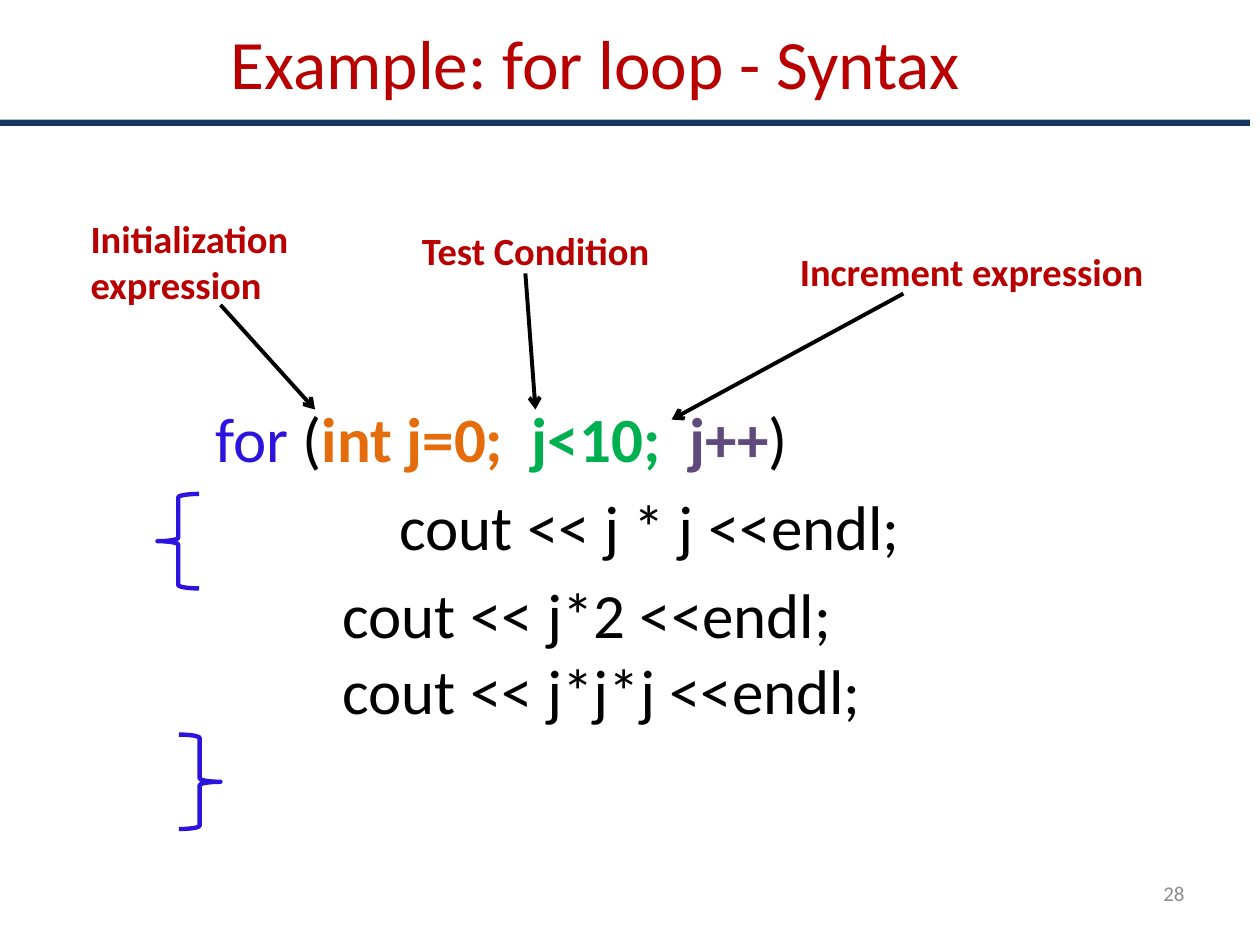
from lxml.etree import SubElement
from pptx import Presentation
from pptx.dml.color import RGBColor
from pptx.enum.shapes import MSO_CONNECTOR, MSO_SHAPE
from pptx.enum.text import MSO_ANCHOR, MSO_AUTO_SIZE, PP_ALIGN
from pptx.oxml.ns import qn
from pptx.util import Inches, Pt

# Content
RED, BLUE, BLACK, NAVY, GREY = "B80000", "2C14DE", "000000", "17375E", "8C8C8C"
TITLE = "Example: for loop - Syntax"
# (left indent, runs of (text, colour, bold))
CODE = [
    (1.48, [("for ", BLUE, False), ("(", BLACK, False),
            ("int j=0;  ", "E46C0A", True), ("j<10;  ", "00B050", True),
            ("j++", "604A7B", True), (")", BLACK, False)]),
    (2.94, [("cout << j * j <<endl;", BLACK, False)]),
]
MORE_CODE = "cout << j*2 <<endl;\ncout << j*j*j <<endl;"
# (text, box, arrow start, arrow end)
CALLOUTS = [
    ("Initialization\nexpression", (0.62, 1.66, 1.79, 0.84), (1.75, 2.42), (2.5, 3.25)),
    ("Test Condition", (3.25, 1.75, 2.03, 0.47), (4.17, 2.17), (4.25, 3.25)),
    ("Increment expression", (6.25, 1.92, 2.96, 0.47), (7.17, 2.33), (5.33, 3.33)),
]
BRACES = [(MSO_SHAPE.LEFT_BRACE, 1.25, 3.92), (MSO_SHAPE.RIGHT_BRACE, 1.42, 5.83)]


def rgb(value):
    return RGBColor.from_string(value)


def style(font, size, color, bold=False):
    font.name, font.size, font.bold = "Calibri", Pt(size), bold
    font.color.rgb = rgb(color)


def place(shape, *box):
    shape.left, shape.top, shape.width, shape.height = map(Inches, box)


def add_text(s, text, box, size, color, bold=False):
    tf = s.shapes.add_textbox(*map(Inches, box)).text_frame
    tf.text = text
    for p in tf.paragraphs:
        for r in p.runs:
            style(r.font, size, color, bold)
    return tf


def add_arrow(s, start, end):
    line = s.shapes.add_connector(MSO_CONNECTOR.STRAIGHT, *map(Inches, start + end))
    line.line.color.rgb = rgb(BLACK)
    line.line.width = Pt(2.25)
    SubElement(line.line._get_or_add_ln(), qn("a:tailEnd"), type="arrow")
    SubElement(line._element.spPr, qn("a:effectLst"))


prs = Presentation()
prs.slide_width, prs.slide_height = Inches(10), Inches(7.5)
s = prs.slides.add_slide(prs.slide_layouts[1])

# Title and rule
title, body = s.placeholders
place(title, 0.11, 0.1, 9.23, 0.78)
tf = title.text_frame
tf.text = TITLE
tf.auto_size = MSO_AUTO_SIZE.NONE
tf.vertical_anchor = MSO_ANCHOR.MIDDLE
style(tf.paragraphs[0].runs[0].font, 39.6, RED)

rule = s.shapes.add_shape(MSO_SHAPE.RECTANGLE, *map(Inches, (0, 0.95, 9.92, 0.05)))
rule.shadow.inherit = False
rule.fill.solid()
rule.fill.fore_color.rgb = rgb(NAVY)
rule.line.fill.background()

# Loop code
place(body, 0.13, 1, 9.75, 6.5)
tf = body.text_frame
tf.auto_size = MSO_AUTO_SIZE.NONE
tf.margin_top = Inches(2.17)
for i, (indent, runs) in enumerate(CODE):
    p = tf.add_paragraph() if i else tf.paragraphs[0]
    pPr = p._p.get_or_add_pPr()
    pPr.set("marL", str(Inches(indent)))
    pPr.set("indent", "0")
    SubElement(pPr, qn("a:buNone"))
    p.space_before = Pt(7.2 if i else 0)
    for text, color, bold in runs:
        r = p.add_run()
        r.text = text
        style(r.font, 36, color, bold)

add_text(s, MORE_CODE, (2.62, 4.52, 4.35, 1.31), 36, BLACK)

# Callouts with arrows
for text, box, start, end in CALLOUTS:
    add_arrow(s, start, end)
    add_text(s, text, box, 22, RED, True)

# Braces around the loop body
for kind, left, top in BRACES:
    brace = s.shapes.add_shape(kind, *map(Inches, (left, top, 0.33, 0.75)))
    brace.shadow.inherit = False
    brace.fill.background()
    brace.line.color.rgb = rgb(BLUE)
    brace.line.width = Pt(2.5)

# Slide number
tf = add_text(s, "28", (7.17, 6.83, 2.33, 0.52), 12, GREY)
tf.word_wrap = True
tf.vertical_anchor = MSO_ANCHOR.MIDDLE
tf.paragraphs[0].alignment = PP_ALIGN.RIGHT

prs.save("out.pptx")
